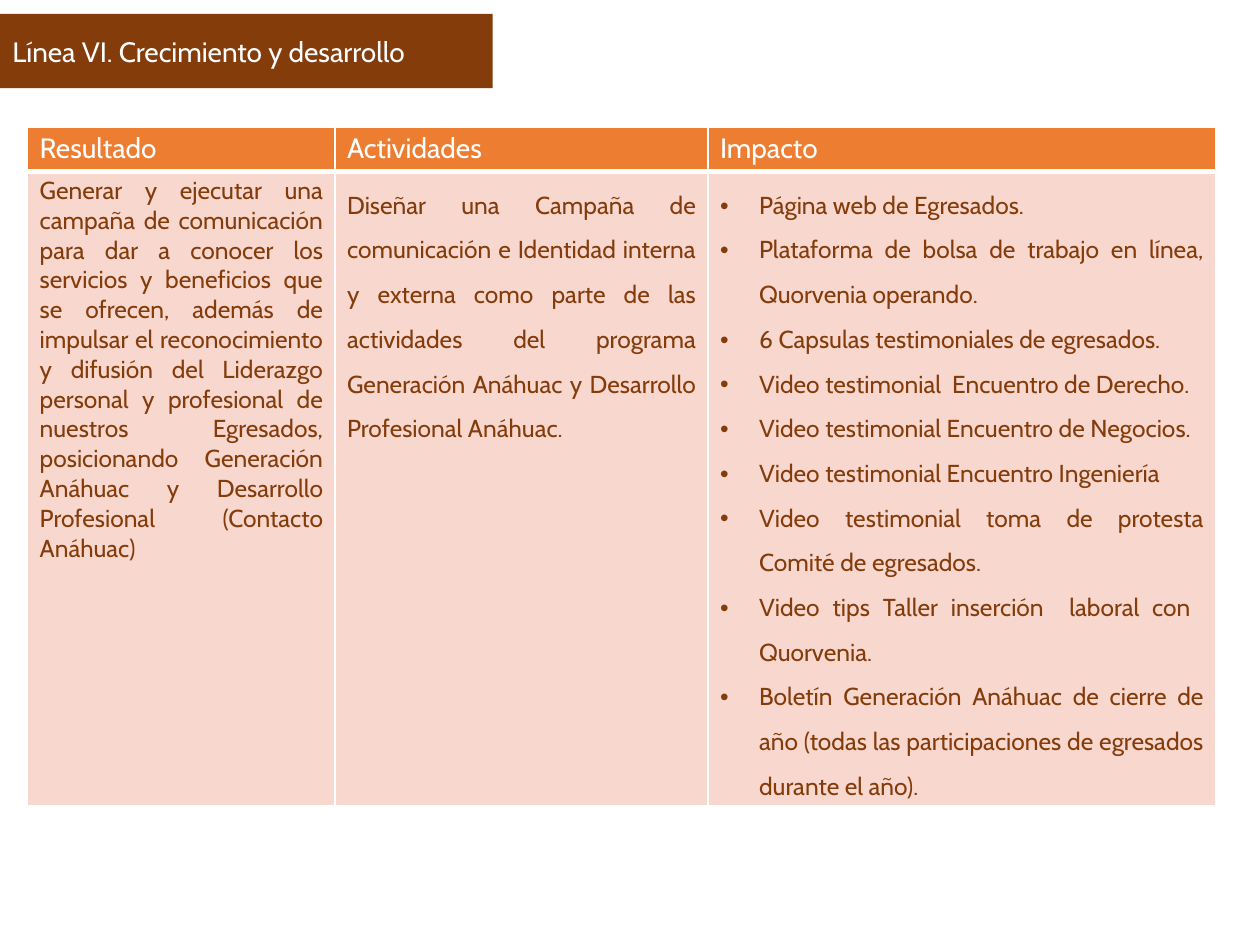
from dataclasses import dataclass

from lxml import etree
from pptx import Presentation
from pptx.dml.color import RGBColor
from pptx.enum import shapes, text
from pptx.oxml import ns
from pptx.util import Inches, Pt

COLS, ROWS = 100, 75
BROWN, ORANGE, PINK, WHITE = "843C0B", "ED7D31", "F8D7CE", "FFFFFF"

prs = Presentation()
prs.slide_width, prs.slide_height = Inches(10), Inches(7.5)


@dataclass
class Column:
    width: float
    header: str
    body: list[str]
    spacing: float = 1.5
    bullets: bool = False


COLUMNS = [
    Column(24.4, "Resultado", [
        "Generar y ejecutar una campaña de comunicación para dar a conocer los "
        "servicios y beneficios que se ofrecen, además de impulsar el "
        "reconocimiento y difusión del Liderazgo personal y profesional de "
        "nuestros Egresados, posicionando Generación Anáhuac y Desarrollo "
        "Profesional (Contacto Anáhuac)",
    ], spacing=1.0),
    Column(29.6, "Actividades", [
        "Diseñar una Campaña de comunicación e Identidad interna y externa como "
        "parte de las actividades del programa Generación Anáhuac y Desarrollo "
        "Profesional Anáhuac.",
    ]),
    Column(40.3, "Impacto", [
        "Página web de Egresados.",
        "Plataforma de bolsa de trabajo en línea, Quorvenia operando.",
        "6 Capsulas testimoniales de egresados.",
        "Video testimonial  Encuentro de Derecho.",
        "Video testimonial Encuentro de Negocios.",
        "Video testimonial Encuentro Ingeniería",
        "Video testimonial toma de protesta Comité de egresados.",
        "Video tips Taller inserción  laboral con  Quorvenia.",
        "Boletín Generación Anáhuac de cierre de año (todas las participaciones "
        "de egresados durante el año).",
    ], bullets=True),
]


def x(cols: float) -> int:
    return round(prs.slide_width * cols / COLS)


def y(rows: float) -> int:
    return round(prs.slide_height * rows / ROWS)


def rgb(value: str) -> RGBColor:
    return RGBColor.from_string(value)


def paint(target, color: str) -> None:
    target.fill.solid()
    target.fill.fore_color.rgb = rgb(color)


def add_bullet(p) -> None:
    pPr = p._p.get_or_add_pPr()
    pPr.set("marL", str(x(3.1)))
    pPr.set("indent", str(-x(3.1)))
    etree.SubElement(pPr, ns.qn("a:buFont")).set("typeface", "Arial")
    etree.SubElement(pPr, ns.qn("a:buChar")).set("char", "•")


def write(tf, lines: list[str], *, size: float, color: str, align=text.PP_ALIGN.LEFT,
          spacing: float = 1.0, bullets: bool = False) -> None:
    tf.word_wrap = True
    for i, line in enumerate(lines):
        p = tf.add_paragraph() if i else tf.paragraphs[0]
        if bullets:
            add_bullet(p)
        p.alignment = align
        p.line_spacing = spacing
        r = p.add_run()
        r.text = line
        r.font.size, r.font.name = Pt(size), "Cabin"
        r.font.color.rgb = rgb(color)


def add_borders(cell, widths: dict[str, float]) -> None:
    tcPr = cell._tc.get_or_add_tcPr()
    for side, width in widths.items():
        ln = etree.SubElement(tcPr, ns.qn(f"a:ln{side}"), w=str(Pt(width)))
        fill = etree.SubElement(ln, ns.qn("a:solidFill"))
        etree.SubElement(fill, ns.qn("a:srgbClr"), val=WHITE)


def fill_cell(cell, lines: list[str], fill: str, borders: dict[str, float], **style) -> None:
    cell.margin_left = cell.margin_right = x(0.95)
    cell.margin_top = cell.margin_bottom = y(0.35)
    add_borders(cell, borders)
    paint(cell, fill)
    write(cell.text_frame, lines, **style)


def add_title(s, title: str) -> None:
    sp = s.shapes.add_shape(shapes.MSO_SHAPE.RECTANGLE, 0, y(1.1), x(39.1), y(5.9))
    sp.shadow.inherit = False
    paint(sp, BROWN)
    sp.line.fill.background()
    sp.text_frame.vertical_anchor = text.MSO_ANCHOR.MIDDLE
    write(sp.text_frame, [title], size=16, color=WHITE)


def add_plan(s, columns: list[Column]) -> None:
    heights = [3.5, 50.3]
    width = sum(c.width for c in columns)
    table = s.shapes.add_table(2, len(columns), x(2.2), y(10.1),
                               x(width), y(sum(heights))).table
    for row, height in zip(table.rows, heights):
        row.height = y(height)
    for i, c in enumerate(columns):
        table.columns[i].width = x(c.width)
        fill_cell(table.cell(0, i), [c.header], ORANGE,
                  {"L": 1, "R": 1, "T": 1, "B": 3}, size=16, color=WHITE)
        fill_cell(table.cell(1, i), c.body, PINK,
                  {"L": 1, "R": 1, "T": 3, "B": 1}, size=14, color=BROWN,
                  align=text.PP_ALIGN.JUSTIFY, spacing=c.spacing, bullets=c.bullets)


def main() -> None:
    s = prs.slides.add_slide(prs.slide_layouts[6])
    add_title(s, "Línea VI. Crecimiento y desarrollo")
    add_plan(s, COLUMNS)
    prs.save("out.pptx")


if __name__ == "__main__":
    main()
